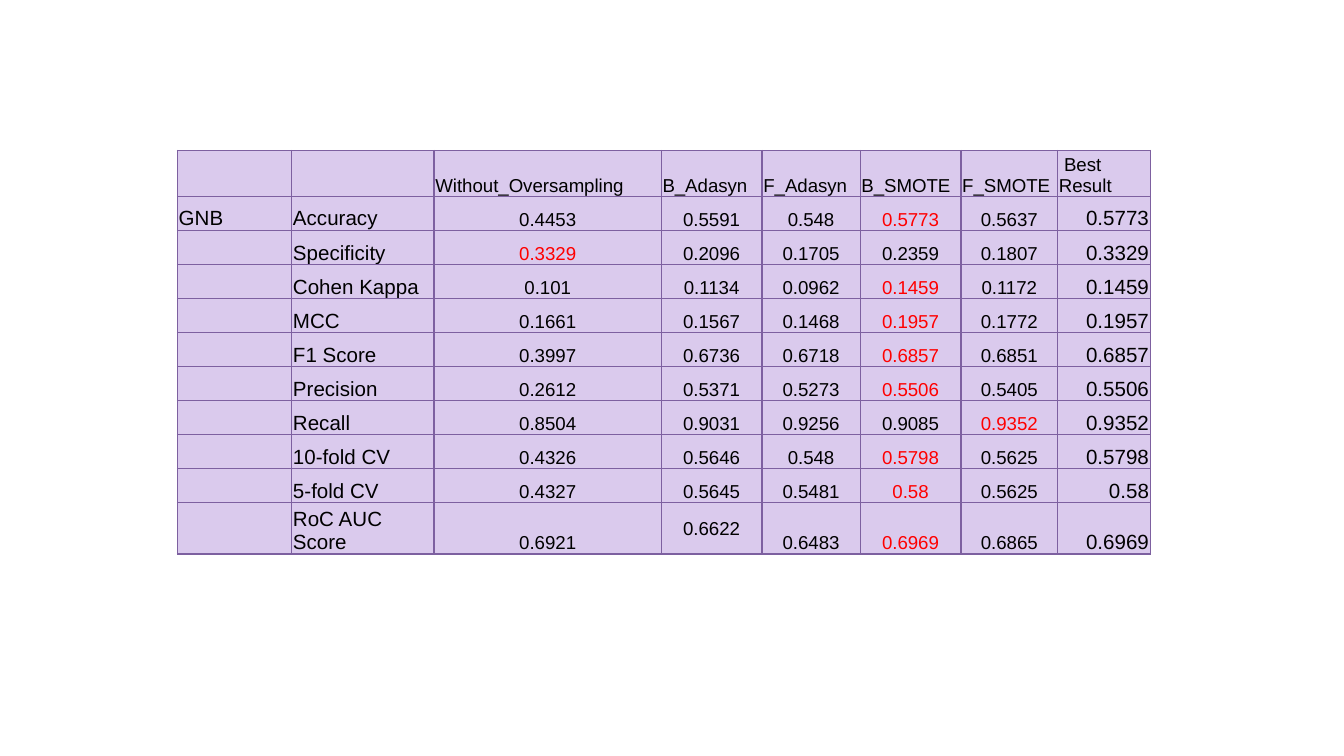
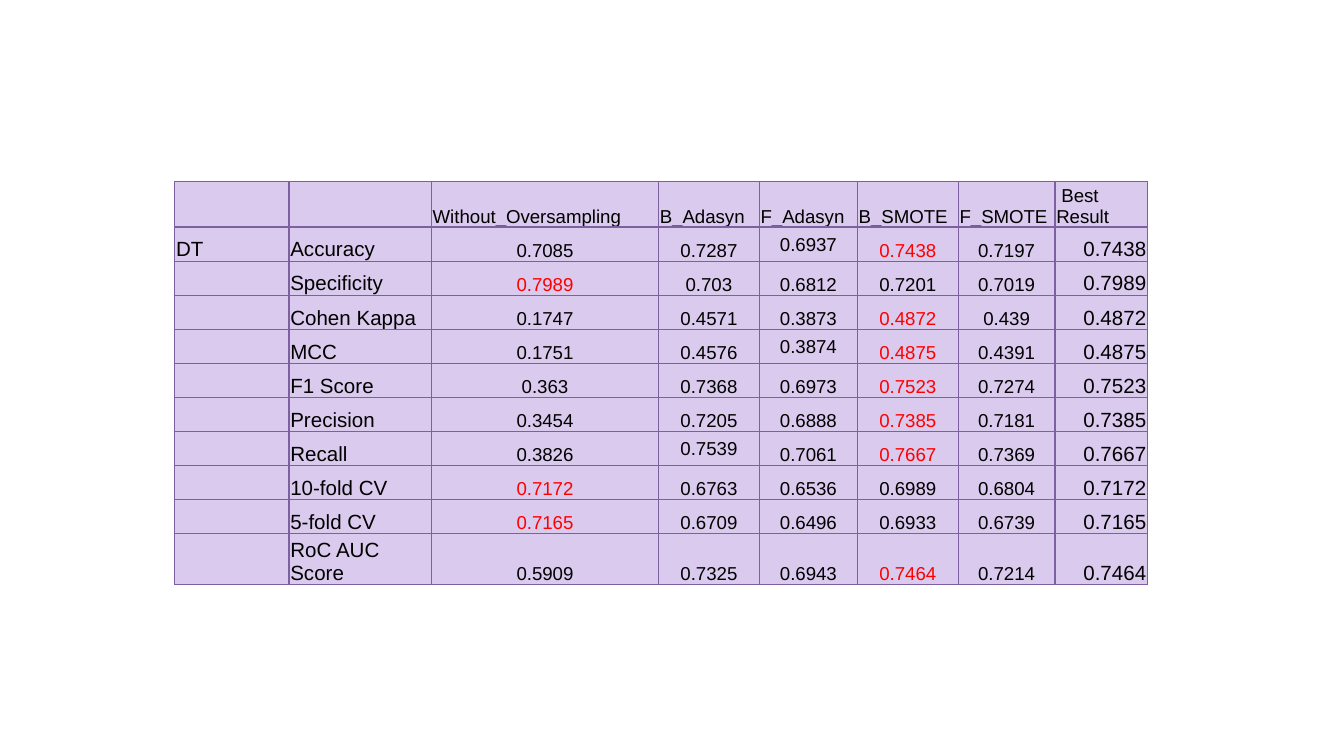
from lxml.etree import SubElement
from pptx import Presentation
from pptx.dml.color import RGBColor
from pptx.enum.text import MSO_ANCHOR, PP_ALIGN
from pptx.oxml.ns import qn
from pptx.util import Inches, Pt

BLACK = RGBColor(0x00, 0x00, 0x00)
RED = RGBColor(0xFF, 0x00, 0x00)
LILAC = RGBColor(0xDA, 0xCA, 0xED)
PURPLE = RGBColor(0x7D, 0x60, 0xA0)
FONT = "Arial"

COLUMN_WIDTHS = [0.85, 1.06, 1.69, 0.75, 0.73, 0.75, 0.72, 0.69]
TABLE_HEIGHT = 2.79
HEADER_HEIGHT = 0.34
LAST_ROW_HEIGHT = 0.38
HEADERS = ["", "", "Without_Oversampling", "B_Adasyn", "F_Adasyn",
           "B_SMOTE", "F_SMOTE", " Best Result"]
METRICS = ["Accuracy", "Specificity", "Cohen Kappa", "MCC", "F1 Score",
           "Precision", "Recall", "10-fold CV", "5-fold CV", "RoC AUC Score"]

GNB_SCORES = [
    "0.4453 0.5591 0.548 0.5773 0.5637",
    "0.3329 0.2096 0.1705 0.2359 0.1807",
    "0.101 0.1134 0.0962 0.1459 0.1172",
    "0.1661 0.1567 0.1468 0.1957 0.1772",
    "0.3997 0.6736 0.6718 0.6857 0.6851",
    "0.2612 0.5371 0.5273 0.5506 0.5405",
    "0.8504 0.9031 0.9256 0.9085 0.9352",
    "0.4326 0.5646 0.548 0.5798 0.5625",
    "0.4327 0.5645 0.5481 0.58 0.5625",
    "0.6921 0.6622 0.6483 0.6969 0.6865",
]
DT_SCORES = [
    "0.7085 0.7287 0.6937 0.7438 0.7197",
    "0.7989 0.703 0.6812 0.7201 0.7019",
    "0.1747 0.4571 0.3873 0.4872 0.439",
    "0.1751 0.4576 0.3874 0.4875 0.4391",
    "0.363 0.7368 0.6973 0.7523 0.7274",
    "0.3454 0.7205 0.6888 0.7385 0.7181",
    "0.3826 0.7539 0.7061 0.7667 0.7369",
    "0.7172 0.6763 0.6536 0.6989 0.6804",
    "0.7165 0.6709 0.6496 0.6933 0.6739",
    "0.5909 0.7325 0.6943 0.7464 0.7214",
]
# Classifier, left, top, scores, and the (row, column) cells anchored in the middle
RESULTS = [
    ("GNB", 1.32, 1.12, GNB_SCORES, {(10, 3)}),
    ("DT", 1.3, 1.35, DT_SCORES, {(1, 4), (4, 4), (7, 3)}),
]


def write_cell(cell, text, size=11, color=BLACK, align=PP_ALIGN.LEFT,
               anchor=MSO_ANCHOR.BOTTOM):
    cell.margin_left = cell.margin_right = cell.margin_top = Inches(0.01)
    cell.margin_bottom = 0
    cell.vertical_anchor = anchor
    paragraph = cell.text_frame.paragraphs[0]
    paragraph.alignment = align
    if text:
        run = paragraph.add_run()
        run.text = text
        run.font.name = FONT
        run.font.size = Pt(size)
        run.font.color.rgb = color
    else:
        # An empty cell needs a small end mark, or its row grows
        SubElement(paragraph._p, qn("a:endParaRPr"), sz=str(size * 100))


def paint_cell(cell):
    """Give the cell its fill and a thin border on all four sides."""
    properties = cell._tc.get_or_add_tcPr()
    for side in ("a:lnL", "a:lnR", "a:lnT", "a:lnB"):
        line = SubElement(properties, qn(side), w=str(Pt(0.75)))
        line_fill = SubElement(line, qn("a:solidFill"))
        SubElement(line_fill, qn("a:srgbClr"), val=str(PURPLE))
    cell.fill.solid()
    cell.fill.fore_color.rgb = LILAC


presentation = Presentation()
presentation.slide_width = Inches(10)
presentation.slide_height = Inches(10 * 9 / 16)
blank_layout = presentation.slide_layouts[6]

for classifier, left, top, scores, middle_cells in RESULTS:
    slide = presentation.slides.add_slide(blank_layout)
    table = slide.shapes.add_table(
        len(METRICS) + 1, len(HEADERS), Inches(left), Inches(top),
        Inches(sum(COLUMN_WIDTHS)), Inches(TABLE_HEIGHT)).table
    for column, width in zip(table.columns, COLUMN_WIDTHS):
        column.width = Inches(width)
    table.rows[0].height = Inches(HEADER_HEIGHT)
    table.rows[len(METRICS)].height = Inches(LAST_ROW_HEIGHT)
    for cell in table.iter_cells():
        paint_cell(cell)

    for column, header in enumerate(HEADERS):
        write_cell(table.cell(0, column), header, size=10)

    for row, (metric, line) in enumerate(zip(METRICS, scores), start=1):
        values = line.split()
        best = max(values, key=float)
        write_cell(table.cell(row, 0), classifier if row == 1 else "")
        write_cell(table.cell(row, 1), metric)
        for column, value in enumerate(values, start=2):
            middle = (row, column) in middle_cells
            write_cell(table.cell(row, column), value, size=10,
                       color=RED if value == best else BLACK,
                       align=PP_ALIGN.CENTER,
                       anchor=MSO_ANCHOR.MIDDLE if middle else MSO_ANCHOR.BOTTOM)
        write_cell(table.cell(row, 7), best, align=PP_ALIGN.RIGHT)

presentation.save("out.pptx")
